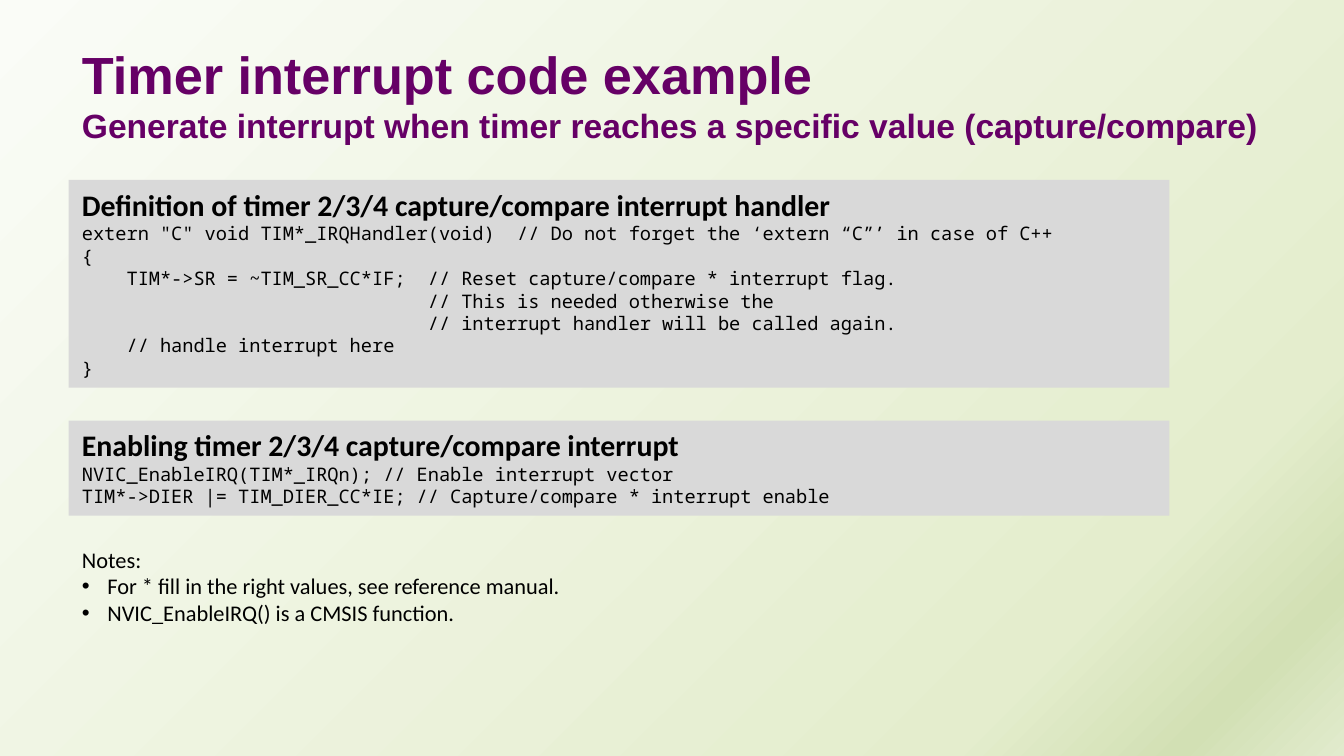
import copy

import pptx
import pptx.dml.color
import pptx.enum.shapes
import pptx.enum.text
import pptx.oxml
import pptx.oxml.ns
import pptx.util

Cm = pptx.util.Cm
Pt = pptx.util.Pt

headline = "Timer interrupt code example"
subtitle = "Generate interrupt when timer reaches a specific value (capture/compare)"

listings = [
    {
        "heading": "Definition of timer 2/3/4 capture/compare interrupt handler",
        "code": [
            'extern "C" void TIM*_IRQHandler(void)  // Do not forget the ‘extern “C”’ in case of C++',
            "{",
            "    TIM*->SR = ~TIM_SR_CC*IF;  // Reset capture/compare * interrupt flag.\n"
            "                               // This is needed otherwise the\n"
            "                               // interrupt handler will be called again.",
            "    // handle interrupt here",
            "}",
        ],
        "top": 3.4,
        "height": 3.93,
    },
    {
        "heading": "Enabling timer 2/3/4 capture/compare interrupt",
        "code": [
            "NVIC_EnableIRQ(TIM*_IRQn); // Enable interrupt vector",
            "TIM*->DIER |= TIM_DIER_CC*IE; // Capture/compare * interrupt enable",
        ],
        "top": 7.95,
        "height": 1.8,
    },
]

notes_label = "Notes:"
notes = [
    "For * fill in the right values, see reference manual.",
    "NVIC_EnableIRQ() is a CMSIS function.",
]

theme = {
    "headline": ("Arial", 28, "660066", True),
    "subtitle": ("Arial", 18, "660066", True),
    "heading": ("Calibri", 16, "000000", True),
    "code": ("Noto Sans Mono", 10, "000000", False),
    "note": ("Calibri", 12, "000000", False),
    "code_spacing": 12,
    "panel": "D9D9D9",
    "backdrop": [(0, "FAFCF7"), (0.81, "E4EDCD"), (0.92, "D2E0B4"), (1, "E1EBCD")],
    "backdrop_angle": 315,
}

LEFT = 1.3
PANEL_WIDTH = 20.8
BULLET_INDENT = 0.48


def rgb(value):
    return pptx.dml.color.RGBColor.from_string(value)


def add_run(paragraph, wording, role):
    run = paragraph.add_run()
    run.text = wording
    face, size, color, bold = theme[role]
    run.font.name = face
    run.font.size = Pt(size)
    run.font.color.rgb = rgb(color)
    run.font.bold = bold


def add_lines(paragraph, wording, role):
    for number, line in enumerate(wording.split("\n")):
        if number:
            paragraph.add_line_break()
        add_run(paragraph, line, role)


def add_bullet(paragraph):
    properties = paragraph._p.get_or_add_pPr()
    properties.set("marL", str(Cm(BULLET_INDENT)))
    properties.set("indent", str(-Cm(BULLET_INDENT)))
    namespace = pptx.oxml.ns.nsdecls("a")
    properties.append(pptx.oxml.parse_xml(f'<a:buFont {namespace} typeface="Arial"/>'))
    properties.append(pptx.oxml.parse_xml(f'<a:buChar {namespace} char="•"/>'))


def prepare(frame, anchor):
    frame.word_wrap = True
    frame.vertical_anchor = anchor


def paint_backdrop(slide):
    fill = slide.background.fill
    fill.gradient()
    fill.gradient_angle = theme["backdrop_angle"]
    stop_list = slide.element.find(".//" + pptx.oxml.ns.qn("a:gsLst"))
    for _ in range(len(theme["backdrop"]) - len(stop_list)):
        stop_list.append(copy.deepcopy(stop_list[0]))
    for stop, (position, color) in zip(fill.gradient_stops, theme["backdrop"]):
        stop.position = position
        stop.color.rgb = rgb(color)


def add_title(slide):
    title = slide.shapes.add_textbox(Cm(LEFT), Cm(0.58), Cm(22.86), Cm(2.39))
    prepare(title.text_frame, pptx.enum.text.MSO_ANCHOR.MIDDLE)
    paragraph = title.text_frame.paragraphs[0]
    add_run(paragraph, headline, "headline")
    paragraph.add_line_break()
    add_run(paragraph, subtitle, "subtitle")


def add_listing(slide, listing):
    panel = slide.shapes.add_shape(
        pptx.enum.shapes.MSO_SHAPE.RECTANGLE,
        Cm(LEFT), Cm(listing["top"]), Cm(PANEL_WIDTH), Cm(listing["height"]),
    )
    panel.shadow.inherit = False
    panel.fill.solid()
    panel.fill.fore_color.rgb = rgb(theme["panel"])
    panel.line.fill.background()
    frame = panel.text_frame
    prepare(frame, pptx.enum.text.MSO_ANCHOR.TOP)
    frame.auto_size = pptx.enum.text.MSO_AUTO_SIZE.SHAPE_TO_FIT_TEXT
    heading = frame.paragraphs[0]
    heading.alignment = pptx.enum.text.PP_ALIGN.LEFT
    add_run(heading, listing["heading"], "heading")
    for statement in listing["code"]:
        paragraph = frame.add_paragraph()
        paragraph.alignment = pptx.enum.text.PP_ALIGN.LEFT
        paragraph.line_spacing = Pt(theme["code_spacing"])
        add_lines(paragraph, statement, "code")


def add_notes(slide):
    remarks = slide.shapes.add_textbox(Cm(LEFT), Cm(10.19), Cm(14), Cm(1.8))
    frame = remarks.text_frame
    prepare(frame, pptx.enum.text.MSO_ANCHOR.TOP)
    frame.auto_size = pptx.enum.text.MSO_AUTO_SIZE.SHAPE_TO_FIT_TEXT
    add_run(frame.paragraphs[0], notes_label, "note")
    for note in notes:
        paragraph = frame.add_paragraph()
        add_bullet(paragraph)
        add_run(paragraph, note, "note")


def main():
    deck = pptx.Presentation()
    deck.slide_width = Cm(25.4)
    deck.slide_height = Cm(14.29)
    slide = deck.slides.add_slide(deck.slide_layouts[6])
    paint_backdrop(slide)
    add_title(slide)
    for listing in listings:
        add_listing(slide, listing)
    add_notes(slide)
    deck.save("out.pptx")


if __name__ == "__main__":
    main()
